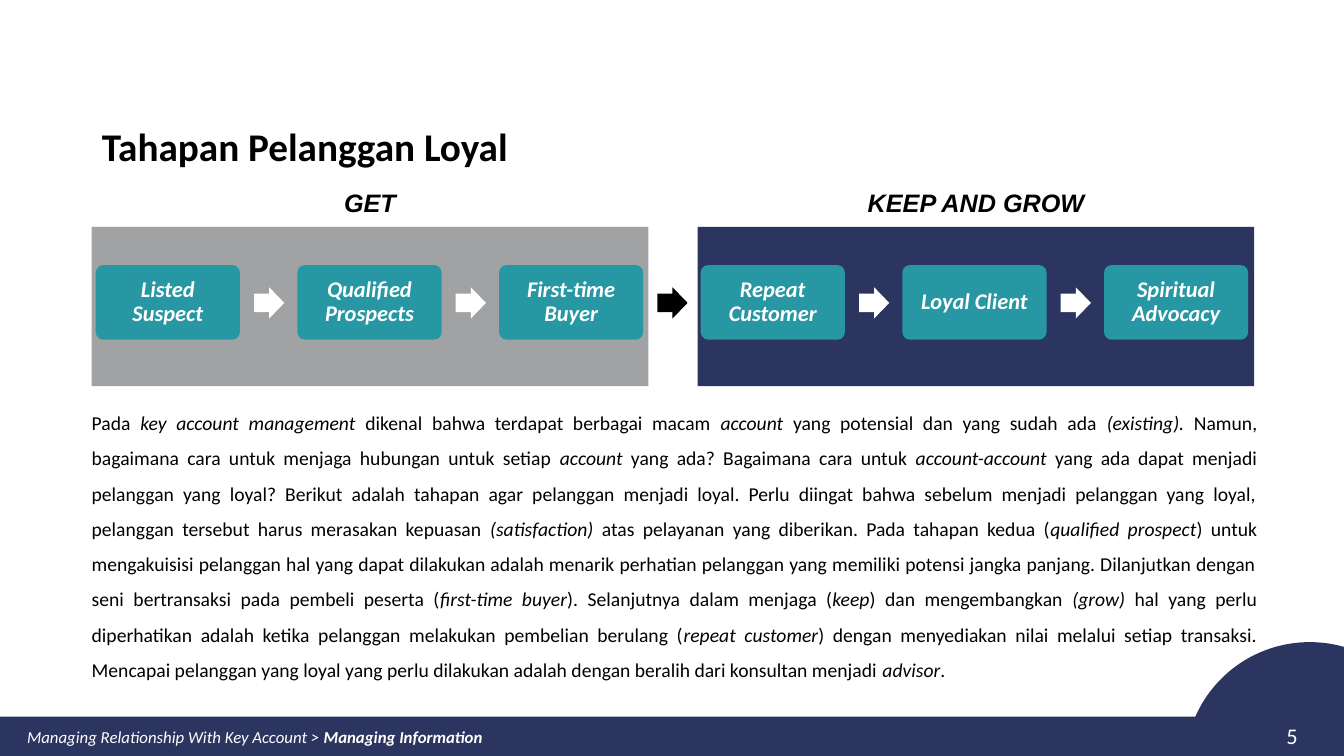
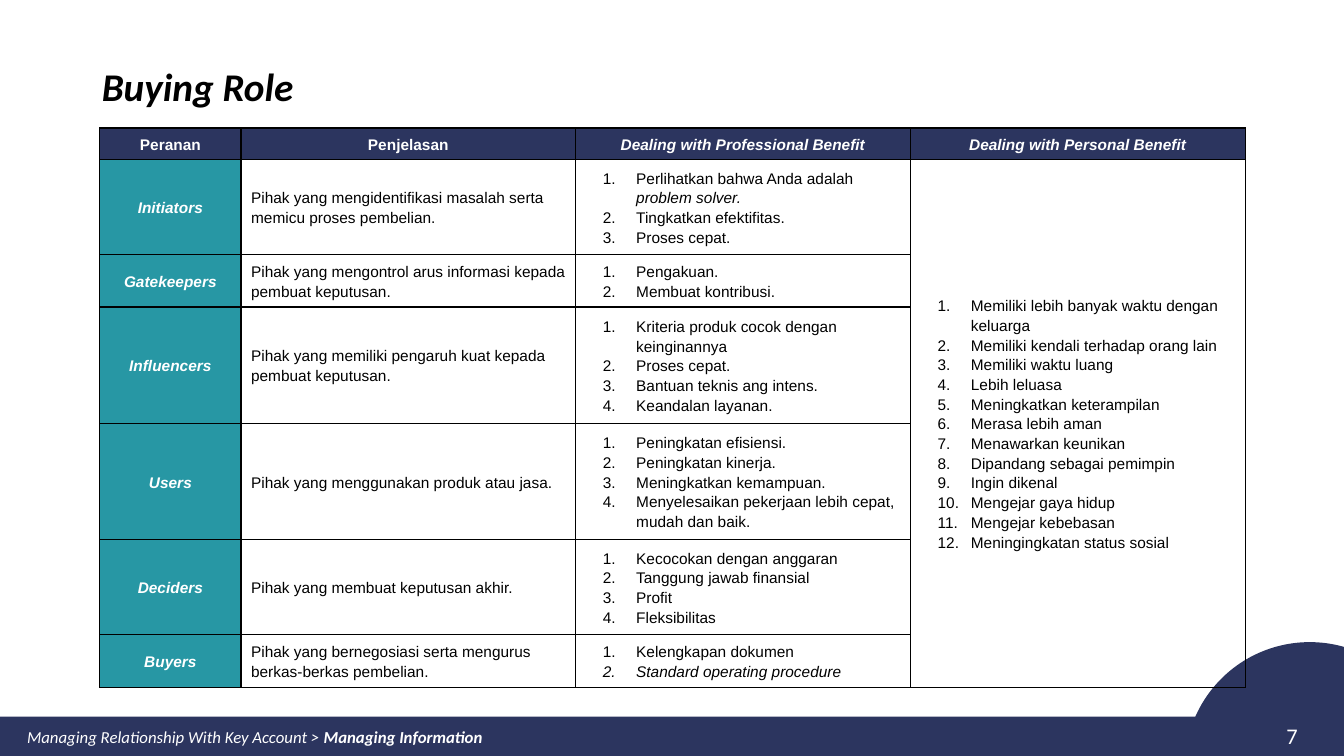
"""Build two slides on loyal-customer stages and buying roles."""
import pptx
import pptx.dml.color
import pptx.enum.shapes
import pptx.enum.text
import pptx.oxml
import pptx.oxml.ns
import pptx.util
from pptx.util import Inches

NAVY, TEAL, GREY, WHITE, BLACK = "2C355F", "2797A4", "A1A2A4", "FFFFFF", "000000"
SHAPE = pptx.enum.shapes.MSO_SHAPE
ALIGN = pptx.enum.text.PP_ALIGN
ANCHOR = pptx.enum.text.MSO_ANCHOR
color = pptx.dml.color.RGBColor.from_string
namespace = pptx.oxml.ns.nsdecls("a")


def draw(slide, place, kind=None, fill=None, margins=(0.1, 0.05)):
    left, top, width, height = map(Inches, place)
    if kind is None:
        shape = slide.shapes.add_textbox(left, top, width, height)
    else:
        shape = slide.shapes.add_shape(kind, left, top, width, height)
        shape.shadow.inherit = False
        shape.fill.solid()
        shape.fill.fore_color.rgb = color(fill)
        shape.line.fill.background()
    side, edge = map(Inches, margins)
    frame_format = {
        "word_wrap": True,
        "vertical_anchor": ANCHOR.MIDDLE,
        "margin_left": side,
        "margin_right": side,
        "margin_top": edge,
        "margin_bottom": edge,
    }
    for name, value in frame_format.items():
        setattr(shape.text_frame, name, value)
    return shape


def write(para, text, size, ink=BLACK, font="Calibri", bold=False, italic=False, align=ALIGN.LEFT, spacing=1.0):
    para.alignment = align
    para.line_spacing = spacing
    for index, piece in enumerate(text.split("*")):
        if not piece:
            continue
        span = para.add_run()
        span.text = piece
        run_format = {
            "name": font,
            "size": pptx.util.Pt(size),
            "bold": bold,
            "italic": italic != (index % 2 == 1),
        }
        for name, value in run_format.items():
            setattr(span.font, name, value)
        span.font.color.rgb = color(ink)


deck = pptx.Presentation()
deck.slide_width = Inches(13.33)
deck.slide_height = Inches(7.5)
layout = deck.slide_layouts.get_by_name("Title Only")

pages = []
for heading, top, italic, number in [
    ("Tahapan Pelanggan Loyal", 1.1, False, "5"),
    ("Buying Role", 0.51, True, "7"),
]:
    page = deck.slides.add_slide(layout)
    pages.append(page)
    title = page.shapes.title
    title_place = {"left": 0.91, "top": top, "width": 11.73, "height": 0.75}
    for name, value in title_place.items():
        setattr(title, name, Inches(value))
    title.text_frame.auto_size = pptx.enum.text.MSO_AUTO_SIZE.NONE
    title.text_frame.vertical_anchor = ANCHOR.MIDDLE
    write(title.text_frame.paragraphs[0], heading, 28, bold=True, italic=italic, spacing=0.9)

    box = draw(page, (12.51, 7.1, 0.61, 0.4))
    write(box.text_frame.paragraphs[0], number, 16, WHITE, align=ALIGN.CENTER)
    box = draw(page, (0.17, 7.11, 6.5, 0.4))
    para = box.text_frame.paragraphs[0]
    write(para, "Managing Relationship With Key Account > ", 12, WHITE, italic=True)
    write(para, "Managing Information", 12, WHITE, bold=True, italic=True)

stages_page, roles_page = pages

band = draw(stages_page, (0, 7.11, 13.33, 0.4), SHAPE.RECTANGLE, NAVY)
corner = draw(stages_page, (11.75, 6.37, 2.48, 2.48), SHAPE.OVAL, NAVY)
for shape in (band, corner):
    layout.shapes.element.append(shape.element)

for label, left, fill in [("GET", 0.91, GREY), ("KEEP AND GROW", 6.92, NAVY)]:
    draw(stages_page, (left, 2.25, 5.52, 1.58), SHAPE.RECTANGLE, fill)
    box = draw(stages_page, (left, 1.81, 5.52, 0.4))
    write(box.text_frame.paragraphs[0], label, 18, font="Arial", bold=True, italic=True, align=ALIGN.CENTER)

stages = [
    "Listed Suspect",
    "Qualified Prospects",
    "First-time Buyer",
    "Repeat Customer",
    "Loyal Client",
    "Spiritual Advocacy",
]
for index, stage in enumerate(stages):
    left = 0.95 + 2 * index
    card = draw(stages_page, (left, 2.63, 1.43, 0.74), SHAPE.ROUNDED_RECTANGLE, TEAL, (0.1, 0.09))
    card.adjustments[0] = 0.1
    write(card.text_frame.paragraphs[0], stage, 16, WHITE, bold=True, italic=True, align=ALIGN.CENTER, spacing=0.9)
    if index < len(stages) - 1:
        fill = BLACK if index == 2 else WHITE
        arrow = draw(stages_page, (left + 1.57, 2.85, 0.3, 0.31), SHAPE.RIGHT_ARROW, fill)
        arrow.adjustments[0] = 0.6

sentences = [
    "Pada *key account management *dikenal bahwa terdapat berbagai macam *account *yang potensial dan yang "
    "sudah ada *(existing).*",
    "Namun, bagaimana cara untuk menjaga hubungan untuk setiap *account *yang ada?",
    "Bagaimana cara untuk *account-account *yang ada dapat menjadi pelanggan yang loyal?",
    "Berikut adalah tahapan agar pelanggan menjadi loyal.",
    "Perlu diingat bahwa sebelum menjadi pelanggan yang loyal, pelanggan tersebut harus merasakan kepuasan "
    "*(satisfaction) *atas pelayanan yang diberikan.",
    "Pada tahapan kedua (*qualified prospect*) untuk mengakuisisi pelanggan hal yang dapat dilakukan adalah "
    "menarik perhatian pelanggan yang memiliki potensi jangka panjang.",
    "Dilanjutkan dengan seni bertransaksi pada pembeli peserta (*first-time buyer*).",
    "Selanjutnya dalam menjaga (*keep*) dan mengembangkan *(grow)* hal yang perlu diperhatikan adalah ketika "
    "pelanggan melakukan pembelian berulang (*repeat customer*) dengan menyediakan nilai melalui setiap transaksi.",
    "Mencapai pelanggan yang loyal yang perlu dilakukan adalah dengan beralih dari konsultan menjadi *advisor*.",
]
box = draw(stages_page, (0.91, 3.96, 11.56, 2.85), margins=(0, 0))
box.text_frame.vertical_anchor = ANCHOR.TOP
write(box.text_frame.paragraphs[0], " ".join(sentences), 14, align=ALIGN.JUSTIFY, spacing=1.5)

headers = ["Peranan", "Penjelasan", "*Dealing with Professional Benefit*", "*Dealing with Personal Benefit*"]
personal_benefits = [
    "Memiliki lebih banyak waktu dengan keluarga",
    "Memiliki kendali terhadap orang lain",
    "Memiliki waktu luang",
    "Lebih leluasa",
    "Meningkatkan keterampilan",
    "Merasa lebih aman",
    "Menawarkan keunikan",
    "Dipandang sebagai pemimpin",
    "Ingin dikenal",
    "Mengejar gaya hidup",
    "Mengejar kebebasan",
    "Meningingkatan status sosial",
]
roles = [
    ("Initiators", "Pihak yang mengidentifikasi masalah serta memicu proses pembelian.",
     ["Perlihatkan bahwa Anda adalah *problem solver.*", "Tingkatkan efektifitas.", "Proses cepat."]),
    ("Gatekeepers", "Pihak yang mengontrol arus informasi kepada pembuat keputusan.",
     ["Pengakuan.", "Membuat kontribusi."]),
    ("Influencers", "Pihak yang memiliki pengaruh kuat kepada pembuat keputusan.",
     ["Kriteria produk cocok dengan keinginannya", "Proses cepat.", "Bantuan teknis ang intens.",
      "Keandalan layanan."]),
    ("Users", "Pihak yang menggunakan produk atau jasa.",
     ["Peningkatan efisiensi.", "Peningkatan kinerja.", "Meningkatkan kemampuan.",
      "Menyelesaikan pekerjaan lebih cepat, mudah dan baik."]),
    ("Deciders", "Pihak yang membuat keputusan akhir.",
     ["Kecocokan dengan anggaran", "Tanggung jawab finansial", "Profit", "Fleksibilitas"]),
    ("Buyers", "Pihak yang bernegosiasi serta mengurus berkas-berkas pembelian.",
     ["Kelengkapan dokumen", "*Standard operating procedure*"]),
]
widths = [1.4, 3.32, 3.32, 3.32]
heights = [0.3, 0.88, 0.49, 1.08, 1.08, 0.88, 0.49]
table = roles_page.shapes.add_table(
    len(heights), len(widths), Inches(0.99), Inches(1.27), Inches(sum(widths)), Inches(sum(heights))
).table
table.first_row = False
table.horz_banding = False
for column, width in zip(table.columns, widths):
    column.width = Inches(width)
for row, height in zip(table.rows, heights):
    row.height = Inches(height)

for cell in table.iter_cells():
    cell.vertical_anchor = ANCHOR.MIDDLE
    properties = cell._tc.get_or_add_tcPr()
    for side in ("lnL", "lnR", "lnT", "lnB"):
        properties.append(pptx.oxml.parse_xml(
            f'<a:{side} {namespace} w="12700"><a:solidFill><a:srgbClr val="{BLACK}"/></a:solidFill></a:{side}>'
        ))
    cell.fill.background()

labels = [(0, index, header, NAVY, False) for index, header in enumerate(headers)]
labels += [(index, 0, role[0], TEAL, True) for index, role in enumerate(roles, 1)]
for row, column, label, fill, italic in labels:
    cell = table.cell(row, column)
    cell.fill.solid()
    cell.fill.fore_color.rgb = color(fill)
    write(cell.text_frame.paragraphs[0], label, 11, WHITE, "Arial", True, italic, ALIGN.CENTER, 1.15)

table.cell(1, 3).merge(table.cell(len(roles), 3))
numbered = [(table.cell(1, 3), personal_benefits)]
for index, (role, duty, benefits) in enumerate(roles, 1):
    write(table.cell(index, 1).text_frame.paragraphs[0], duty, 11, font="Arial", spacing=1.15)
    numbered.append((table.cell(index, 2), benefits))

for cell, items in numbered:
    for index, item in enumerate(items):
        para = cell.text_frame.add_paragraph() if index else cell.text_frame.paragraphs[0]
        properties = para._p.get_or_add_pPr()
        properties.set("marL", str(Inches(0.5)))
        properties.set("indent", str(Inches(-0.33)))
        for bullet in (
            f'<a:buClr {namespace}><a:srgbClr val="{BLACK}"/></a:buClr>',
            f'<a:buFont {namespace} typeface="Arial"/>',
            f'<a:buAutoNum {namespace} type="arabicPeriod"/>',
        ):
            properties.append(pptx.oxml.parse_xml(bullet))
        write(para, item, 11, font="Arial", spacing=1.15)

deck.save("out.pptx")
